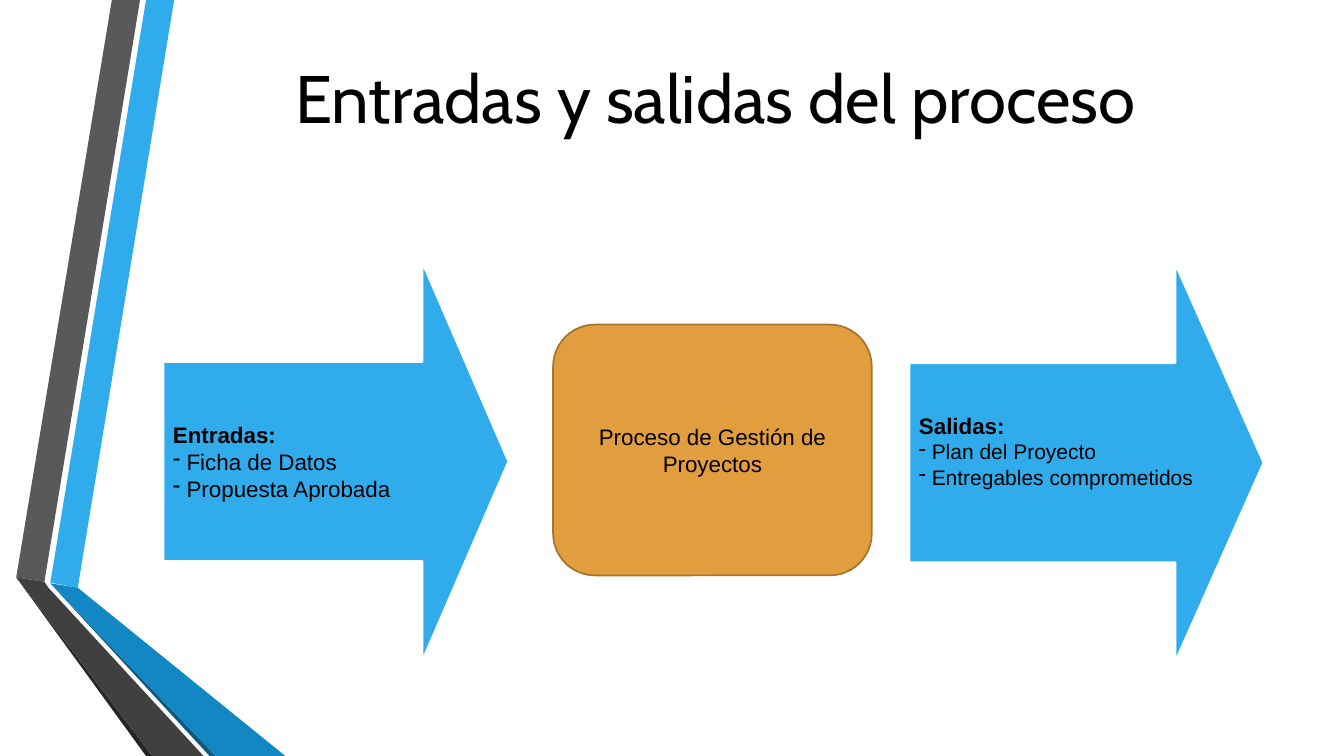
from lxml import etree
from pptx import Presentation
from pptx import util as u
from pptx.dml.color import RGBColor
from pptx.enum import shapes, text
from pptx.oxml.ns import qn

WIDE, HIGH = 33.87, 19.05
BLUE = "30ACEC"
KIND, ALIGN = shapes.MSO_SHAPE, text.PP_ALIGN

# Ribbon bands: fill and corners in cm
BANDS = [
    (BLUE, [(1.27, 14.68), (1.96, 14.81), (4.39, 0), (3.68, 0)]),
    ("595959", [(3.53, 0), (2.82, 0), (0.41, 14.55), (1.12, 14.66)]),
    ("262626", [(0.41, 14.55), (3.68, HIGH), (3.84, HIGH)]),
    ("0C5A82", [(1.27, 14.7), (5.28, HIGH), (5.44, HIGH)]),
    ("1287C3", [(1.27, 14.7), (5.44, HIGH), (7.19, HIGH), (1.96, 14.81)]),
    ("404040", [(5.13, HIGH), (1.22, 14.81), (1.12, 14.66), (0.41, 14.55),
                (3.84, HIGH)]),
]

TITLE = {"text": "Entradas y salidas del proceso", "box": (4.11, 0, 27.84, 4.88)}

ARROW = {"kind": KIND.RIGHT_ARROW, "adj": (0.5, 0.25), "fill": BLUE,
         "line": ("FFFFFF", 1.75)}
STEPS = [
    {**ARROW, "box": (4.11, 6.6, 8.71, 10.06), "head": "Entradas:", "size": 16,
     "items": ["Ficha de Datos", "Propuesta Aprobada"], "foot": 0.13},
    {"kind": KIND.ROUNDED_RECTANGLE, "adj": (0.167,), "fill": "E29D3E",
     "line": ("A7742E", 1.25), "box": (13.94, 8.18, 8.03, 6.32),
     "label": "Proceso de Gestión de Proyectos"},
    {**ARROW, "box": (22.91, 6.63, 8.94, 10.06), "head": "Salidas:", "size": 15,
     "items": ["Plan del Proyecto", "Entregables comprometidos"], "foot": 0.73},
]


def tint(hue):
    """Turn a hex string into a colour."""
    return RGBColor.from_string(hue)


def style(part, **vals):
    """Set each given attribute on a part."""
    for key, val in vals.items():
        setattr(part, key, val)


def paint(shape, hue, line=None):
    """Give a shape a solid fill and an optional outline."""
    shape.shadow.inherit = False
    shape.fill.solid()
    shape.fill.fore_color.rgb = tint(hue)
    if line:
        shape.line.color.rgb = tint(line[0])
        shape.line.width = u.Pt(line[1])
    else:
        shape.line.fill.background()


def write(para, words, size, face="Arial", bold=False, align=ALIGN.LEFT):
    """Put black words in a paragraph."""
    para.alignment = align
    run = para.add_run()
    run.text = words
    style(run.font, name=face, size=u.Pt(size), bold=bold)
    run.font.color.rgb = tint("000000")


def dash(para, size):
    """Give a paragraph a hanging dash, spaced to suit its text size."""
    props = para._p.get_or_add_pPr()
    gap = u.Cm(0.0215 * size)
    props.set("marL", str(gap))
    props.set("indent", str(-gap))
    etree.SubElement(props, qn("a:buFontTx"))
    etree.SubElement(props, qn("a:buChar")).set("char", "-")


def band(slide, hue, spots):
    """Draw one ribbon band."""
    first, *rest = [(u.Cm(x), u.Cm(y)) for x, y in spots]
    form = slide.shapes.build_freeform(*first)
    form.add_line_segments(rest, close=True)
    paint(form.convert_to_shape(), hue)


def step(slide, item):
    """Draw one part of the process with its text."""
    shape = slide.shapes.add_shape(item["kind"], *map(u.Cm, item["box"]))
    for i, val in enumerate(item["adj"]):
        shape.adjustments[i] = val
    paint(shape, item["fill"], item["line"])
    frame = shape.text_frame
    frame.vertical_anchor = text.MSO_ANCHOR.MIDDLE
    para = frame.paragraphs[0]
    if "label" in item:
        frame.word_wrap = True
        write(para, item["label"], 16, align=ALIGN.CENTER)
        return
    style(frame, word_wrap=False, margin_bottom=u.Cm(item["foot"]))
    write(para, item["head"], 16, bold=True)
    for words in item["items"]:
        para = frame.add_paragraph()
        write(para, words, item["size"])
        dash(para, item["size"])


deck = Presentation()
style(deck, slide_width=u.Cm(WIDE), slide_height=u.Cm(HIGH))
slide = deck.slides.add_slide(deck.slide_layouts[6])
for hue, spots in BANDS:
    band(slide, hue, spots)
frame = slide.shapes.add_textbox(*map(u.Cm, TITLE["box"])).text_frame
style(frame, word_wrap=True, vertical_anchor=text.MSO_ANCHOR.MIDDLE)
write(frame.paragraphs[0], TITLE["text"], 48, "Cabin", align=ALIGN.CENTER)
for item in STEPS:
    step(slide, item)
deck.save("out.pptx")
